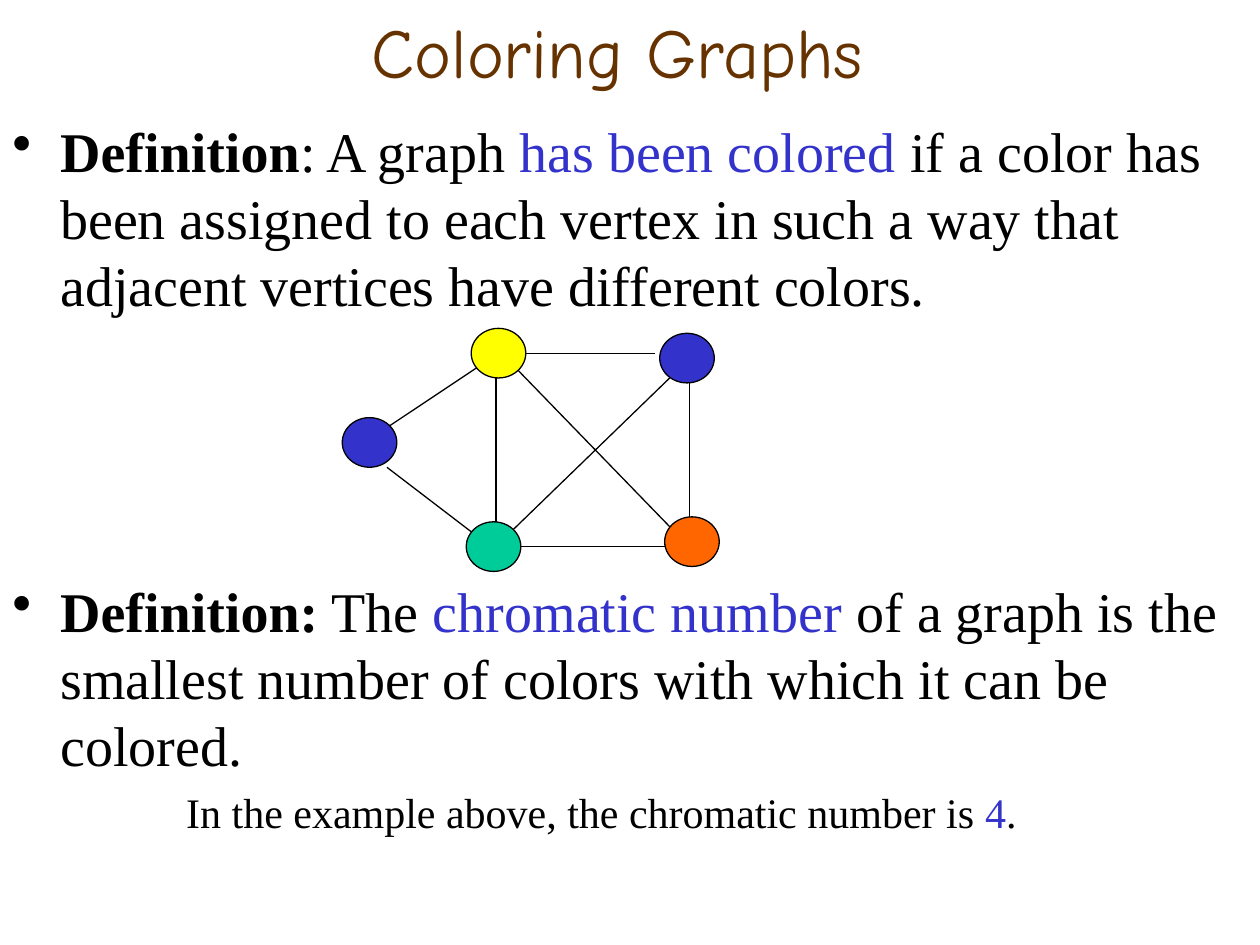
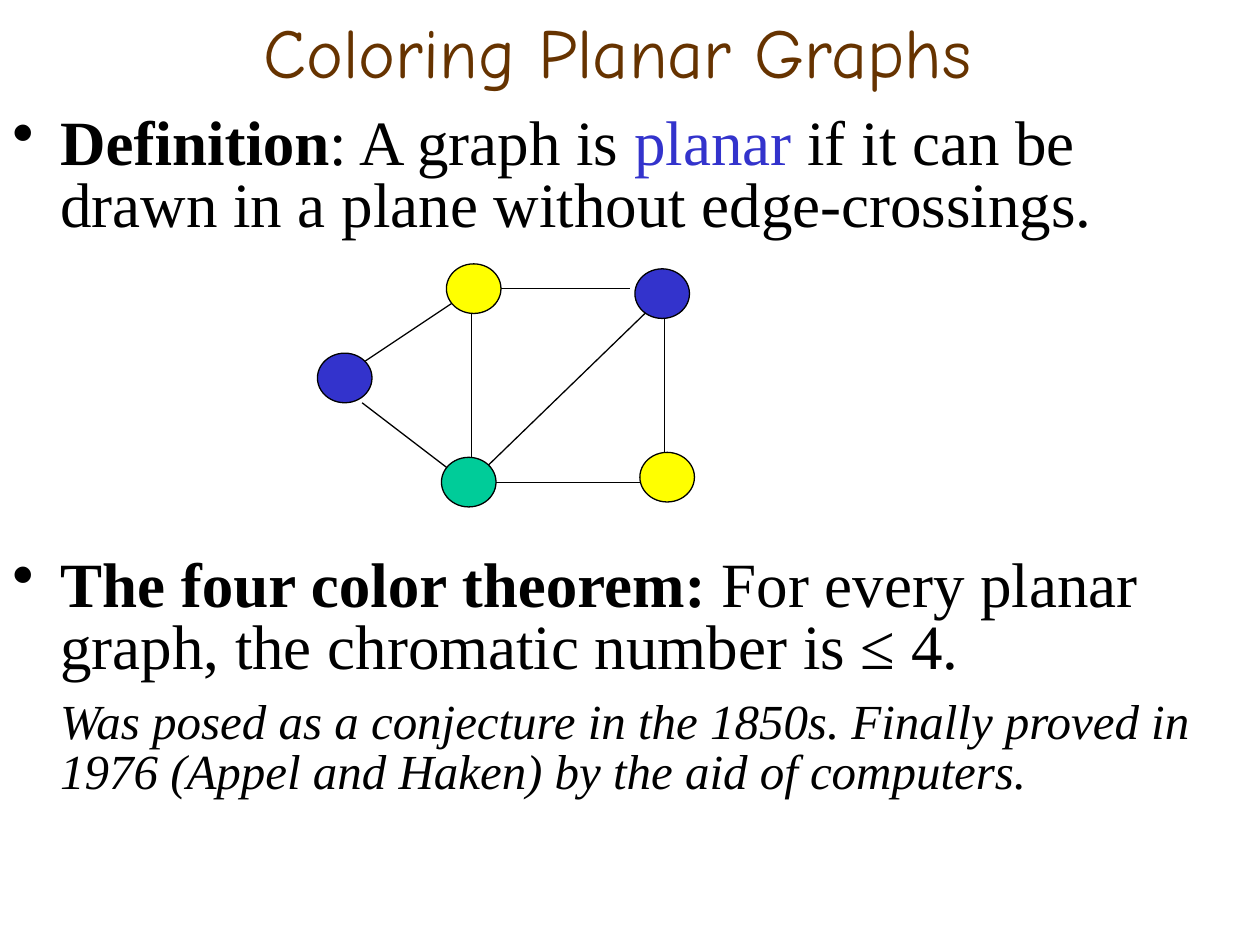
from dataclasses import dataclass

from lxml.etree import SubElement
from pptx import Presentation
from pptx.dml.color import RGBColor
from pptx.enum.shapes import MSO_CONNECTOR, MSO_SHAPE
from pptx.enum.text import MSO_ANCHOR, PP_ALIGN
from pptx.oxml.ns import qn
from pptx.util import Inches, Mm, Pt

WIDTH, HEIGHT = Inches(10), Inches(7.5)
BLACK = RGBColor(0x00, 0x00, 0x00)
BROWN = RGBColor(0x66, 0x33, 0x00)
BLUE = RGBColor(0x33, 0x33, 0xCC)
YELLOW = RGBColor(0xFF, 0xFF, 0x00)
GREEN = RGBColor(0x00, 0xCC, 0x99)
ORANGE = RGBColor(0xFF, 0x66, 0x00)
TITLE_FONT, BODY_FONT = "Comic Neue", "Times New Roman"

# Boxes as shares of the slide: left, top, width, height
TITLE_BOX = (0.043, 0, 0.894, 0.107)
BODY_BOX = (0, 0.117, 1, 0.883)
HANG = 0.38
LINE_WIDTH = Pt(0.75)

# Graph grid: cells of one millimetre, counted from the graph's corner
CELL = Mm(1)
NODE_COLS, NODE_ROWS = 11, 10
NODE_CELLS = {"left": (0, 18), "top": (26, 0), "bottom": (25, 39),
              "upper right": (64, 1), "lower right": (65, 38)}
PLANAR_EDGES = [
    (9, 20, 27, 8), (9, 28, 26, 41), (37, 5, 63, 5), (36, 44, 65, 44),
    (31, 10, 31, 39), (70, 11, 70, 38), (34, 41, 66, 10),
]
CROSSING_EDGE = (35, 8, 67, 41)


@dataclass(frozen=True)
class Run:
    text: str
    color: RGBColor = BLACK
    bold: bool = False
    italic: bool = False


@dataclass(frozen=True)
class Para:
    runs: list[Run]
    size: float
    pitch: float
    before: float = 0
    bullet: bool = True
    indent: float = HANG


@dataclass(frozen=True)
class Graph:
    col: float
    row: float
    colors: dict[str, RGBColor]
    edges: list[tuple[int, int, int, int]]


@dataclass(frozen=True)
class Page:
    title: str
    paras: list[Para]
    graph: Graph


PAGES = [
    Page(
        "Coloring Graphs",
        [
            Para([Run("Definition", bold=True), Run(": A graph "),
                  Run("has been colored", BLUE),
                  Run(" if a color has been assigned to each vertex in such a way "
                      "that adjacent vertices have different colors.")],
                 size=32, pitch=38.3),
            Para([Run("Definition:", bold=True), Run(" The "),
                  Run("chromatic number", BLUE),
                  Run(" of a graph is the smallest number of colors with which "
                      "it can be colored.")],
                 size=32, pitch=38.3, before=148),
            Para([Run("In the example above, the chromatic number is "),
                  Run("4", BLUE), Run(".")],
                 size=24, pitch=27.6, before=6, bullet=False, indent=1.38),
        ],
        Graph(69, 66.2,
              {"left": BLUE, "top": YELLOW, "bottom": GREEN,
               "upper right": BLUE, "lower right": ORANGE},
              PLANAR_EDGES + [CROSSING_EDGE]),
    ),
    Page(
        "Coloring Planar Graphs",
        [
            Para([Run("Definition", bold=True), Run(": A graph is"),
                  Run(" planar", BLUE),
                  Run(" if it can be drawn in a plane without edge-crossings.")],
                 size=36, pitch=35.2),
            Para([Run("The four color theorem:", bold=True),
                  Run(" For every planar graph, the chromatic number is ≤ 4.")],
                 size=36, pitch=35.2, before=182),
            Para([Run("Was posed as a conjecture in the 1850s. Finally proved in "
                      "1976 (Appel and Haken) by the aid of computers.", italic=True)],
                 size=28, pitch=28.6, before=10, bullet=False),
        ],
        Graph(64, 53.2,
              {"left": BLUE, "top": YELLOW, "bottom": GREEN,
               "upper right": BLUE, "lower right": YELLOW},
              PLANAR_EDGES),
    ),
]


def add_box(s, box: tuple[float, ...], anchor=MSO_ANCHOR.TOP):
    """Add a wrapping text box placed by shares of the slide."""
    x, y, w, h = box
    tf = s.shapes.add_textbox(int(WIDTH * x), int(HEIGHT * y),
                              int(WIDTH * w), int(HEIGHT * h)).text_frame
    tf.word_wrap = True
    tf.vertical_anchor = anchor
    return tf


def add_run(p, text: str, *, size: float, font: str = BODY_FONT,
            color: RGBColor = BLACK, bold: bool = False, italic: bool = False) -> None:
    r = p.add_run()
    r.text = text
    r.font.name, r.font.size = font, Pt(size)
    r.font.bold, r.font.italic = bold, italic
    r.font.color.rgb = color


def add_title(s, text: str) -> None:
    p = add_box(s, TITLE_BOX, MSO_ANCHOR.MIDDLE).paragraphs[0]
    p.alignment = PP_ALIGN.CENTER
    add_run(p, text, size=40, font=TITLE_FONT, color=BROWN)


def add_body(s, paras: list[Para]) -> None:
    tf = add_box(s, BODY_BOX)
    for i, para in enumerate(paras):
        p = tf.add_paragraph() if i else tf.paragraphs[0]
        p.line_spacing = Pt(para.pitch)
        if para.before:
            p.space_before = Pt(para.before)
        pPr = p._p.get_or_add_pPr()
        pPr.set("marL", str(Inches(para.indent)))
        if para.bullet:
            pPr.set("indent", str(-Inches(HANG)))
            SubElement(pPr, qn("a:buChar")).set("char", "•")
        for run in para.runs:
            add_run(p, run.text, size=para.size, color=run.color,
                    bold=run.bold, italic=run.italic)


def add_graph(s, graph: Graph) -> None:
    def at(col: float, row: float) -> tuple[int, int]:
        return int((graph.col + col) * CELL), int((graph.row + row) * CELL)

    for x1, y1, x2, y2 in graph.edges:
        edge = s.shapes.add_connector(MSO_CONNECTOR.STRAIGHT, *at(x1, y1), *at(x2, y2))
        edge.line.color.rgb = BLACK
        edge.line.width = LINE_WIDTH
        SubElement(edge._element.spPr, qn("a:effectLst"))
    for name, color in graph.colors.items():
        node = s.shapes.add_shape(MSO_SHAPE.OVAL, *at(*NODE_CELLS[name]),
                                  NODE_COLS * CELL, NODE_ROWS * CELL)
        node.shadow.inherit = False
        node.fill.solid()
        node.fill.fore_color.rgb = color
        node.line.color.rgb = BLACK
        node.line.width = LINE_WIDTH


def main() -> None:
    prs = Presentation()
    prs.slide_width, prs.slide_height = WIDTH, HEIGHT
    for page in PAGES:
        s = prs.slides.add_slide(prs.slide_layouts[6])
        add_title(s, page.title)
        add_body(s, page.paras)
        add_graph(s, page.graph)
    prs.save("out.pptx")


if __name__ == "__main__":
    main()
